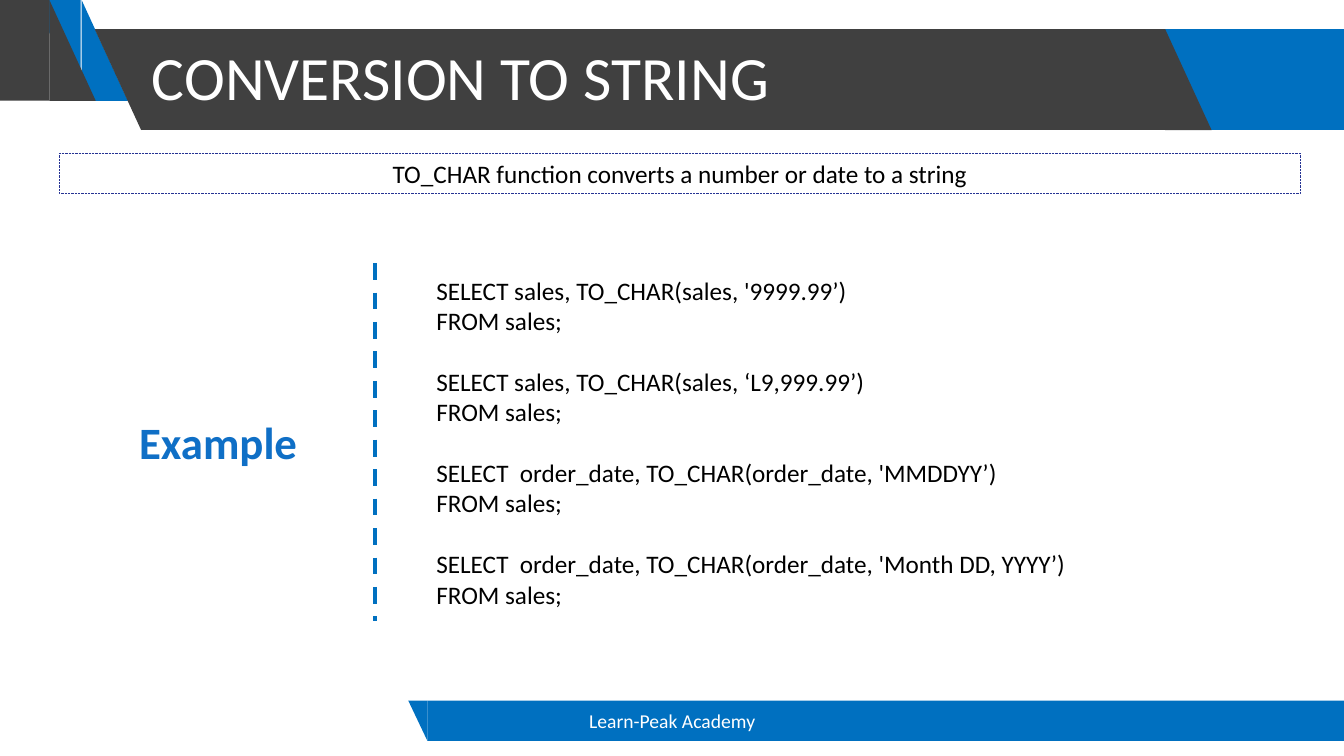
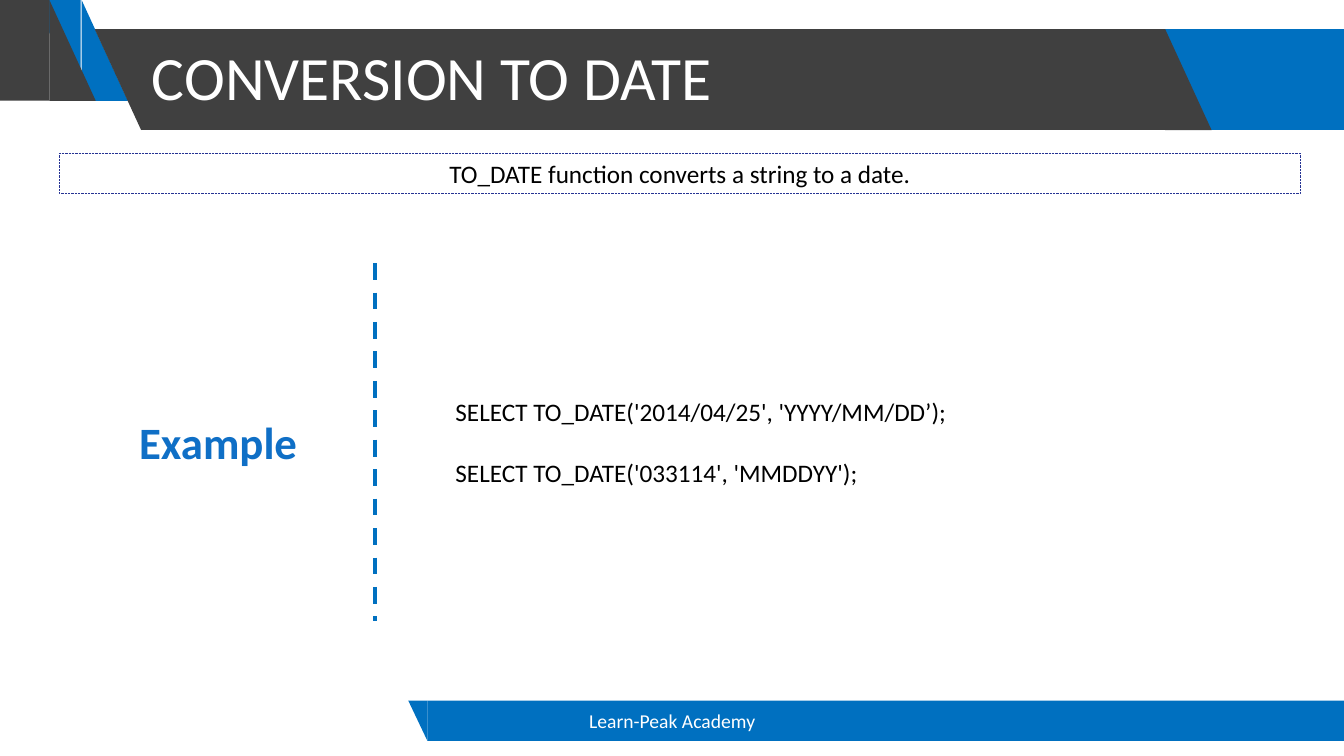
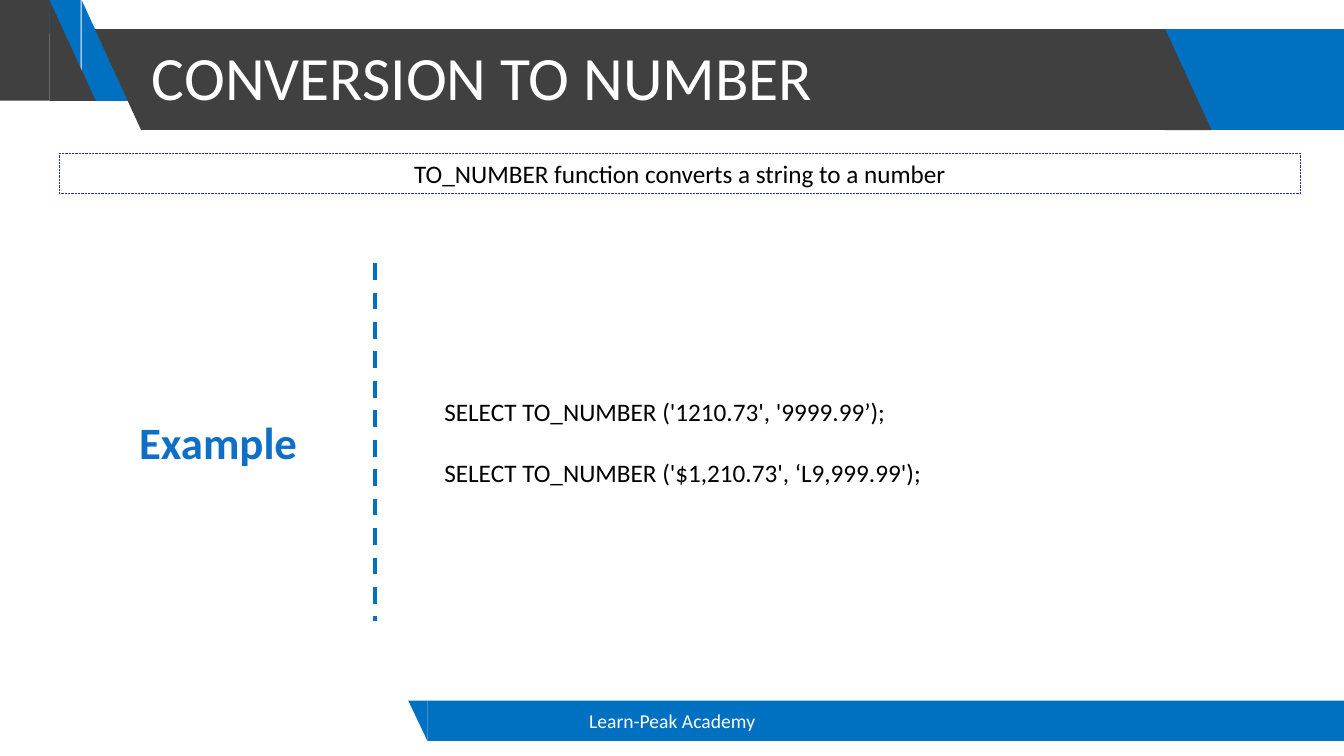
from dataclasses import dataclass

from lxml import etree
from pptx import Presentation, util as u
from pptx.dml.color import RGBColor
from pptx.enum import dml, shapes, text
from pptx.oxml.ns import qn


@dataclass(frozen=True)
class Theme:
    font: str = "Calibri"
    blue: str = "0070C0"
    dark: str = "404040"
    label: str = "0F6FC6"
    outline: str = "263393"
    black: str = "000000"
    white: str = "FFFFFF"
    title_size: int = 44
    label_size: int = 32
    body_size: int = 18
    footer_size: int = 14
    statement_gap: int = 22


THEME = Theme()
CELL = 0.1  # inches per grid column and row
COLUMNS, ROWS = 133.33, 75
RECT = shapes.MSO_SHAPE.RECTANGLE
WEDGE = shapes.MSO_SHAPE.RIGHT_TRIANGLE

BAND, BAND_TOP, SLANT = 10, 2.9, 4.6
TITLE_LEFT, TITLE_RIGHT = 14, 115.6
FOOTER_LEFT, FOOTER_TOP, FOOTER_HEIGHT, FOOTER_SLANT = 42.4, 69.5, 4, 1.9
CONTENT_TOP, CONTENT_HEIGHT, DIVIDER = 26.1, 35.5, 37.2
FOOTER = "Learn-Peak Academy"

# preset, left, top, width, height, colour, rotation
BANDS = [
    (RECT, 106.8, BAND_TOP, COLUMNS - 106.8, BAND, THEME.blue, 0),
    (WEDGE, 8.1, 0, SLANT, BAND, THEME.blue, 0),
    (WEDGE, 3.4, 0, SLANT, BAND, THEME.blue, 180),
    (RECT, 0, 0, 4.9, BAND, THEME.dark, 0),
    (WEDGE, 4.9, 0, SLANT, BAND, THEME.dark, 0),
    (WEDGE, TITLE_LEFT - SLANT, BAND_TOP, SLANT, BAND, THEME.dark, 180),
    (RECT, TITLE_LEFT, BAND_TOP, TITLE_RIGHT - TITLE_LEFT, BAND, THEME.dark, 0),
    (WEDGE, TITLE_RIGHT, BAND_TOP, SLANT, BAND, THEME.dark, 0),
    (RECT, FOOTER_LEFT, FOOTER_TOP, COLUMNS - FOOTER_LEFT, FOOTER_HEIGHT, THEME.blue, 0),
    (WEDGE, FOOTER_LEFT - FOOTER_SLANT, FOOTER_TOP, FOOTER_SLANT, FOOTER_HEIGHT, THEME.blue, 180),
]

# title, summary, left column of the code, SQL lines
LESSONS = [
    ("CONVERSION TO STRING", "TO_CHAR function converts a number or date to a string", 42.3, [
        "SELECT sales, TO_CHAR(sales, '9999.99’)",
        "FROM sales;",
        "SELECT sales, TO_CHAR(sales, ‘L9,999.99’)",
        "FROM sales;",
        "SELECT  order_date, TO_CHAR(order_date, 'MMDDYY’)",
        "FROM sales;",
        "SELECT  order_date, TO_CHAR(order_date, 'Month DD, YYYY’)",
        "FROM sales;",
    ]),
    ("CONVERSION TO DATE", "TO_DATE function converts a string to a date.", 44.2, [
        "SELECT TO_DATE('2014/04/25', 'YYYY/MM/DD’);",
        "SELECT TO_DATE('033114', 'MMDDYY');",
    ]),
    ("CONVERSION TO NUMBER", "TO_NUMBER function converts a string to a number", 43.1, [
        "SELECT TO_NUMBER ('1210.73', '9999.99’);",
        "SELECT TO_NUMBER ('$1,210.73', ‘L9,999.99');",
    ]),
]


def grid(*cells):
    return [u.Inches(cell * CELL) for cell in cells]


def write(shape, *lines, size=THEME.body_size, color=THEME.black, bold=False,
          align=text.PP_ALIGN.LEFT, line_spacing=None):
    """Fill the shape with one paragraph a line, with a gap before each later SELECT."""
    frame = shape.text_frame
    frame.word_wrap = True
    frame.vertical_anchor = text.MSO_ANCHOR.MIDDLE
    for index, line in enumerate(lines):
        paragraph = frame.add_paragraph() if index else frame.paragraphs[0]
        paragraph.alignment = align
        paragraph.line_spacing = line_spacing
        if index and line.startswith("SELECT"):
            paragraph.space_before = u.Pt(THEME.statement_gap)
        run = paragraph.add_run()
        run.text = line
        run.font.name, run.font.size, run.font.bold = THEME.font, u.Pt(size), bold
        run.font.color.rgb = RGBColor.from_string(color)


presentation = Presentation()
presentation.slide_width, presentation.slide_height = grid(COLUMNS, ROWS)

for title, summary, code_left, code in LESSONS:
    slide = presentation.slides.add_slide(presentation.slide_layouts[6])

    for preset, left, top, width, height, color, rotation in BANDS:
        band = slide.shapes.add_shape(preset, *grid(left, top, width, height))
        band.shadow.inherit = False
        band.fill.solid()
        band.fill.fore_color.rgb = RGBColor.from_string(color)
        band.line.fill.background()
        band.rotation = rotation

    title_box = slide.shapes.add_textbox(*grid(14.1, 0.7, 101.4, 14.5))
    write(title_box, title, size=THEME.title_size, color=THEME.white, line_spacing=0.9)

    footer_box = slide.shapes.add_textbox(*grid(44.2, FOOTER_TOP, 45, FOOTER_HEIGHT))
    write(footer_box, FOOTER, size=THEME.footer_size, color=THEME.white,
          align=text.PP_ALIGN.CENTER)

    summary_box = slide.shapes.add_shape(RECT, *grid(5.9, 15.2, 123.1, 4))
    summary_box.shadow.inherit = False
    summary_box.fill.background()
    summary_box.line.color.rgb = RGBColor.from_string(THEME.outline)
    summary_box.line.width = u.Pt(0.5)
    summary_box.line.dash_style = dml.MSO_LINE.ROUND_DOT
    write(summary_box, summary, align=text.PP_ALIGN.CENTER)

    divider = slide.shapes.add_connector(
        shapes.MSO_CONNECTOR.STRAIGHT,
        *grid(DIVIDER, CONTENT_TOP, DIVIDER, CONTENT_TOP + CONTENT_HEIGHT))
    divider.line.color.rgb = RGBColor.from_string(THEME.blue)
    divider.line.width = u.Pt(3)
    divider.line.dash_style = dml.MSO_LINE.DASH
    etree.SubElement(divider.element.spPr, qn("a:effectLst"))

    label_box = slide.shapes.add_textbox(*grid(4.6, CONTENT_TOP, 34.1, CONTENT_HEIGHT))
    write(label_box, "Example", size=THEME.label_size, color=THEME.label, bold=True,
          align=text.PP_ALIGN.CENTER)

    code_box = slide.shapes.add_textbox(*grid(code_left, CONTENT_TOP, 82.6, CONTENT_HEIGHT))
    write(code_box, *code)

presentation.save("out.pptx")
